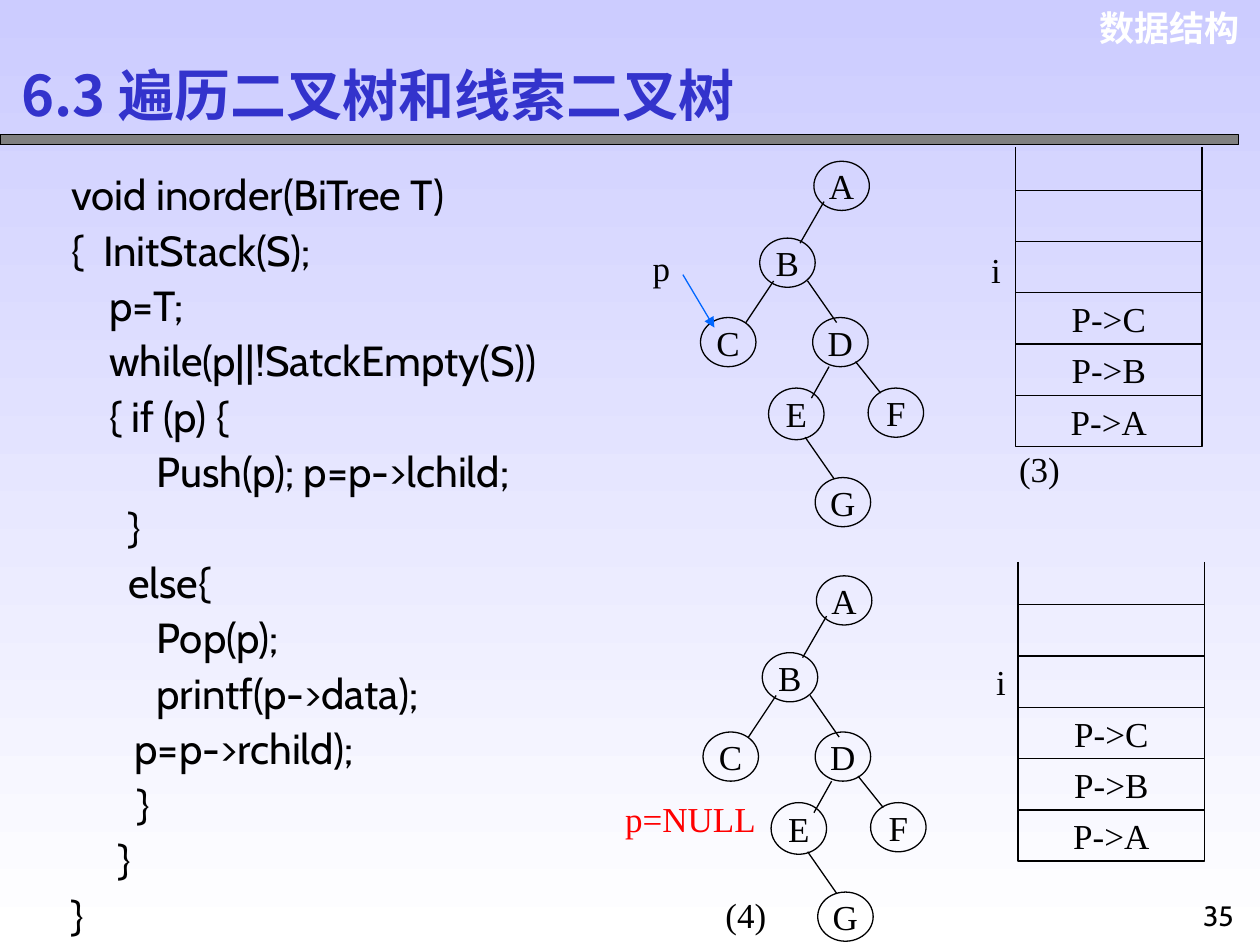
import pptx
import pptx.util
import pptx.dml.color
import pptx.enum.shapes
import pptx.enum.text
import pptx.oxml.ns
from lxml import etree

Inches, Pt = pptx.util.Inches, pptx.util.Pt
KIND = pptx.enum.shapes.MSO_SHAPE
ALIGN = pptx.enum.text.PP_ALIGN
ANCHOR = pptx.enum.text.MSO_ANCHOR
FIT = pptx.enum.text.MSO_AUTO_SIZE
qn = pptx.oxml.ns.qn

THEME = {
    "sky": "CCCCFF", "white": "FFFFFF", "bar": "808080", "ink": "000000",
    "title": "3333CC", "arrow": "0066FF", "alert": "FF0000",
    "serif": "Times New Roman", "sans": "Cabin", "head": "Arial",
    "cjk": "Noto Sans CJK SC",
    "big": 32, "code": 24, "label": 20, "small": 16, "line": 0.75,
}

# Content
COURSE = "数据结构"
TITLE = "6.3 遍历二叉树和线索二叉树"
PAGE = "35"
CODE = [
    "void inorder(BiTree T)",
    "{  InitStack(S);",
    "    p=T;",
    "    while(p||!SatckEmpty(S))",
    "    { if (p) {",
    "         Push(p); p=p->lchild;",
    "      }",
    "      else{",
    "         Pop(p);",
    "         printf(p->data);",
    "\tp=p->rchild);",
    "       }",
    "     }",
    "}",
]
NODES = [  # name, left, top, height
    ("A", 6.46, 1.28, 0.39), ("B", 6.03, 1.89, 0.39), ("C", 5.56, 2.52, 0.39),
    ("D", 6.45, 2.52, 0.39), ("E", 6.10, 3.08, 0.41), ("F", 6.89, 3.08, 0.39),
    ("G", 6.47, 3.79, 0.39),
]
EDGES = [  # x1, y1, x2, y2
    (6.54, 1.60, 6.35, 1.93), (6.14, 2.23, 5.92, 2.56),
    (6.41, 2.23, 6.64, 2.56), (6.58, 2.91, 6.44, 3.16),
    (6.79, 2.87, 6.99, 3.12), (6.39, 3.47, 6.62, 3.80),
]
STACK = ["", "", "P->C", "P->B", "P->A"]
STEPS = [
    {"shift": (0, 0), "arrow": (5.42, 2.18, 5.67, 2.60),
     "labels": [("p", 5.08, 1.90, 0.34, "ink"), ("i", 7.77, 1.92, 0.27, "ink"),
                ("(3)", 7.99, 3.50, 0.52, "ink")]},
    {"shift": (0.02, 3.29), "arrow": None,
     "labels": [("p=NULL", 4.86, 6.28, 1.24, "alert"),
                ("i", 7.81, 5.19, 0.27, "ink"),
                ("(4)", 5.66, 7.04, 0.52, "ink")]},
]


def color(key):
    return pptx.dml.color.RGBColor.from_string(THEME[key])


def write(shape, lines, size="label", face="serif", ink="ink", bold=False,
          align=ALIGN.CENTER, anchor=ANCHOR.MIDDLE, wrap=False, gap=None):
    frame = shape.text_frame
    frame.text = "\n".join(lines)
    frame.word_wrap = wrap
    frame.auto_size = FIT.NONE
    frame.vertical_anchor = anchor
    for para in frame.paragraphs:
        para.alignment = align
        if gap:
            para.line_spacing = gap
        for run in para.runs:
            font = run.font
            font.name, font.size, font.bold = THEME[face], Pt(THEME[size]), bold
            font.color.rgb = color(ink)
            east = etree.SubElement(font._element, qn("a:ea"))
            east.set("typeface", THEME["cjk"])


def label(shapes, lines, left, top, width, height, **look):
    box = shapes.add_textbox(*map(Inches, (left, top, width, height)))
    write(box, lines, **look)


def block(shapes, kind, left, top, width, height, text="", fill=None):
    shape = shapes.add_shape(kind, *map(Inches, (left, top, width, height)))
    shape.shadow.inherit = False
    if fill:
        shape.fill.solid()
        shape.fill.fore_color.rgb = color(fill)
    else:
        shape.fill.background()
    shape.line.color.rgb = color("ink")
    shape.line.width = Pt(THEME["line"])
    if text:
        write(shape, [text])


def line(shapes, ends, ink="ink", arrow=False):
    link = shapes.add_connector(
        pptx.enum.shapes.MSO_CONNECTOR.STRAIGHT, *map(Inches, ends))
    link.line.color.rgb = color(ink)
    link.line.width = Pt(THEME["line"])
    if arrow:
        tip = etree.SubElement(link.line._get_or_add_ln(), qn("a:tailEnd"))
        tip.set("type", "triangle")
    etree.SubElement(link._element.spPr, qn("a:effectLst"))


def draw_step(shapes, step):
    dx, dy = step["shift"]

    def move(ends):
        x1, y1, x2, y2 = ends
        return x1 + dx, y1 + dy, x2 + dx, y2 + dy

    # Binary tree
    for name, left, top, height in NODES:
        block(shapes, KIND.OVAL, left + dx, top + dy, 0.44, height, name)
    for ends in EDGES:
        line(shapes, move(ends))
    if step["arrow"]:
        line(shapes, move(step["arrow"]), "arrow", True)

    # Stack, open at the top
    left, top, width, row = 8.06, 1.51, 1.48, 0.407
    for i, text in enumerate(STACK):
        block(shapes, KIND.RECTANGLE, left + dx, top + i * row + dy,
              width, row, text)
    for x in (left, left + width):
        line(shapes, move((x, 1.17, x, top)))

    # Pointer names and step number
    for text, x, y, wide, ink in step["labels"]:
        label(shapes, [text], x, y, wide, 0.44, ink=ink)


def main():
    deck = pptx.Presentation()
    deck.slide_width, deck.slide_height = Inches(10), Inches(7.5)
    slide = deck.slides.add_slide(deck.slide_layouts[5])
    shapes = slide.shapes

    # Background gradient, top to bottom
    fill = slide.background.fill
    fill.gradient()
    fill.gradient_angle = 270
    for stop, key, spot in zip(fill.gradient_stops, ("sky", "white"), (0, 1)):
        stop.color.rgb = color(key)
        stop.position = spot

    # Header
    title = shapes.title
    title.left, title.top = Inches(0.07), Inches(0.46)
    title.width, title.height = Inches(6.75), Inches(0.57)
    write(title, [TITLE], "big", "cjk", "title", True, ALIGN.LEFT, wrap=True)
    label(shapes, [COURSE], 8.57, 0, 1.37, 0.44, face="head", ink="white",
          bold=True, align=ALIGN.RIGHT, anchor=ANCHOR.TOP, wrap=True)
    block(shapes, KIND.RECTANGLE, 0, 1.07, 9.83, 0.08, fill="bar")

    # Trees and stacks
    for step in STEPS:
        draw_step(shapes.add_group_shape().shapes, step)

    # Code and page number
    label(shapes, CODE, 0.47, 1.25, 4.41, 6.7, size="code", face="sans",
          align=ALIGN.LEFT, anchor=ANCHOR.TOP, wrap=True, gap=1.1)
    label(shapes, [PAGE], 9.42, 7.08, 0.5, 0.42, size="small", face="sans",
          anchor=ANCHOR.TOP, wrap=True)
    deck.save("out.pptx")


if __name__ == "__main__":
    main()
